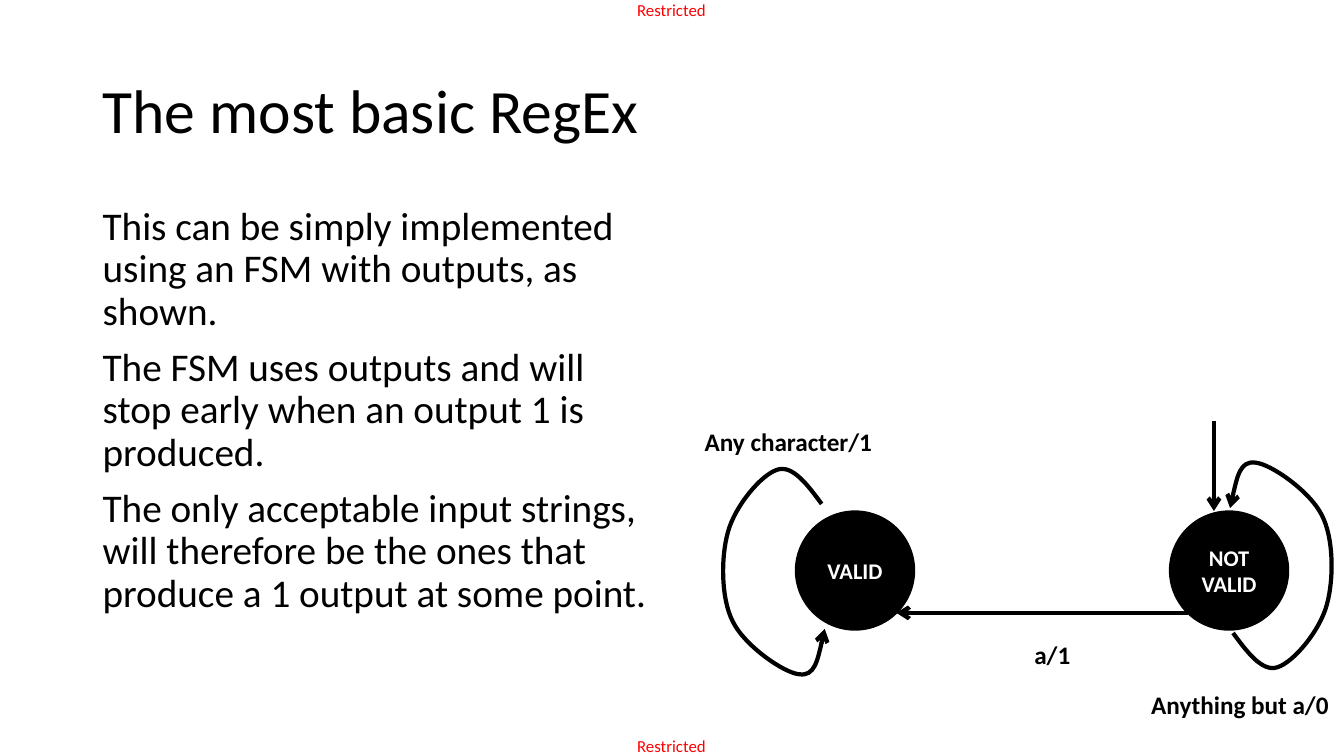
from lxml import etree
from pptx import Presentation, util as u
from pptx.dml import color as col
from pptx.enum import shapes as es, text as et
from pptx.oxml import ns

LOOP = [(-.14, -.19), (-.29, -.39), (-.44, -.34),
        (-.6, -.29), (-.86, .02), (-.93, .28),
        (-1, .53), (-1, .94), (-.88, 1.17),
        (-.76, 1.41), (-.37, 1.68), (-.22, 1.69),
        (-.07, 1.71), (-.02, 1.47), (.03, 1.24)]


def rgb(code):
    """Turn a hex string into a colour."""
    return col.RGBColor.from_string(code)


def write(frame, *lines, size=18, color="000000", bold=False, align="LEFT",
          anchor="TOP", inset=(.1, .05), space=0, lead=None):
    """Fill a text frame with formatted paragraphs."""
    frame.word_wrap = True
    frame.vertical_anchor = getattr(et.MSO_ANCHOR, anchor)
    frame.margin_left = frame.margin_right = u.Inches(inset[0])
    frame.margin_top = frame.margin_bottom = u.Inches(inset[1])
    for i, line in enumerate(lines):
        para = frame.add_paragraph() if i else frame.paragraphs[0]
        para.alignment = getattr(et.PP_ALIGN, align)
        para.space_before = u.Pt(space if i else 0)
        if lead:
            para.line_spacing = lead
        run = para.add_run()
        run.text = line
        font = run.font
        font.name, font.size, font.bold = "Calibri", u.Pt(size), bold
        font.color.rgb = rgb(color)


def label(slide, box, *lines, **form):
    """Add a text box."""
    shape = slide.shapes.add_textbox(*map(u.Inches, box))
    write(shape.text_frame, *lines, **form)


def ink(shape):
    """Give a shape a thick black line that ends in an arrow."""
    shape.line.color.rgb = rgb("000000")
    shape.line.width = u.Pt(3)
    line = shape.line._get_or_add_ln()
    etree.SubElement(line, ns.qn("a:tailEnd"), type="arrow")


def arrow(slide, start, end):
    """Draw a straight arrow."""
    wire = slide.shapes.add_connector(
        es.MSO_CONNECTOR.STRAIGHT, *map(u.Inches, start + end))
    ink(wire)
    etree.SubElement(wire._element.spPr, ns.qn("a:effectLst"))


def loop(slide, x, y, sign):
    """Draw a curved self-arrow from a point; sign -1 turns it half round."""
    pen = slide.shapes.build_freeform(u.Inches(x), u.Inches(y))
    pen.add_line_segments(
        [(u.Inches(x + sign * dx), u.Inches(y + sign * dy)) for dx, dy in LOOP],
        close=False)
    shape = pen.convert_to_shape()
    shape.shadow.inherit = False
    shape.fill.background()
    ink(shape)
    steps = shape._element.xpath(".//a:lnTo")
    for i in range(0, len(steps), 3):
        curve = etree.Element(ns.qn("a:cubicBezTo"))
        steps[i].addprevious(curve)
        for step in steps[i:i + 3]:
            curve.append(step[0])
            step.getparent().remove(step)


def state(slide, x, y, size, name):
    """Draw a named state as a black disc."""
    disc = slide.shapes.add_shape(
        es.MSO_SHAPE.OVAL, *map(u.Inches, (x, y, size, size)))
    disc.shadow.inherit = False
    disc.fill.solid()
    disc.fill.fore_color.rgb = disc.line.color.rgb = rgb("000000")
    disc.line.width = u.Pt(1)
    write(disc.text_frame, name, size=16, color="FFFFFF", bold=True,
          align="CENTER", anchor="MIDDLE")


def marks(slide, x, width, height):
    """Place the marking at the top and foot of the slide."""
    for y in (0, 7.5 - height):
        label(slide, (x, y, width, height), "Restricted", size=12,
              color="FF0000", inset=(0, 0))


def prose(slide, x, y):
    """Place the title and the body text."""
    label(slide, (x, y, 11.5, 1.45), "The most basic RegEx", size=44,
          anchor="MIDDLE", lead=.9)
    label(slide, (x, y + 1.6, 5.67, 5.5),
          "This can be simply implemented using an FSM with outputs, as shown.",
          "The FSM uses outputs and will stop early when an output 1 is produced.",
          "The only acceptable input strings, will therefore be the ones that "
          "produce a 1 output at some point.",
          size=28, space=10, lead=.9)


def machine(slide, x, y):
    """Place the state diagram with its top left at a point."""
    arrow(slide, (x + 5.15, y), (x + 5.15, y + .89))
    for dx, name in ((1, "VALID"), (4.71, "NOT VALID")):
        state(slide, x + dx, y + .89, 1.18, name)
    arrow(slide, (x + 4.89, y + 1.9), (x + 2, y + 1.9))
    loop(slide, x + 1.26, y + .82, 1)
    loop(slide, x + 5.34, y + 2.1, -1)
    for dx, dy, width, words in ((3.27, 2.11, .61, "a/1"),
                                 (0, 0, 2, "Any character/1"),
                                 (4.43, 2.61, 2.2, "Anything but a/0")):
        label(slide, (x + dx, y + dy, width, .4), words, bold=True)


def main():
    """Build and save the slide."""
    deck = Presentation()
    deck.slide_width, deck.slide_height = u.Inches(13.33), u.Inches(7.5)
    slide = deck.slides.add_slide(deck.slide_layouts[6])
    marks(slide, 6.32, .73, .2)
    prose(slide, .92, .4)
    machine(slide, 6.89, 4.18)
    deck.save("out.pptx")


if __name__ == "__main__":
    main()
